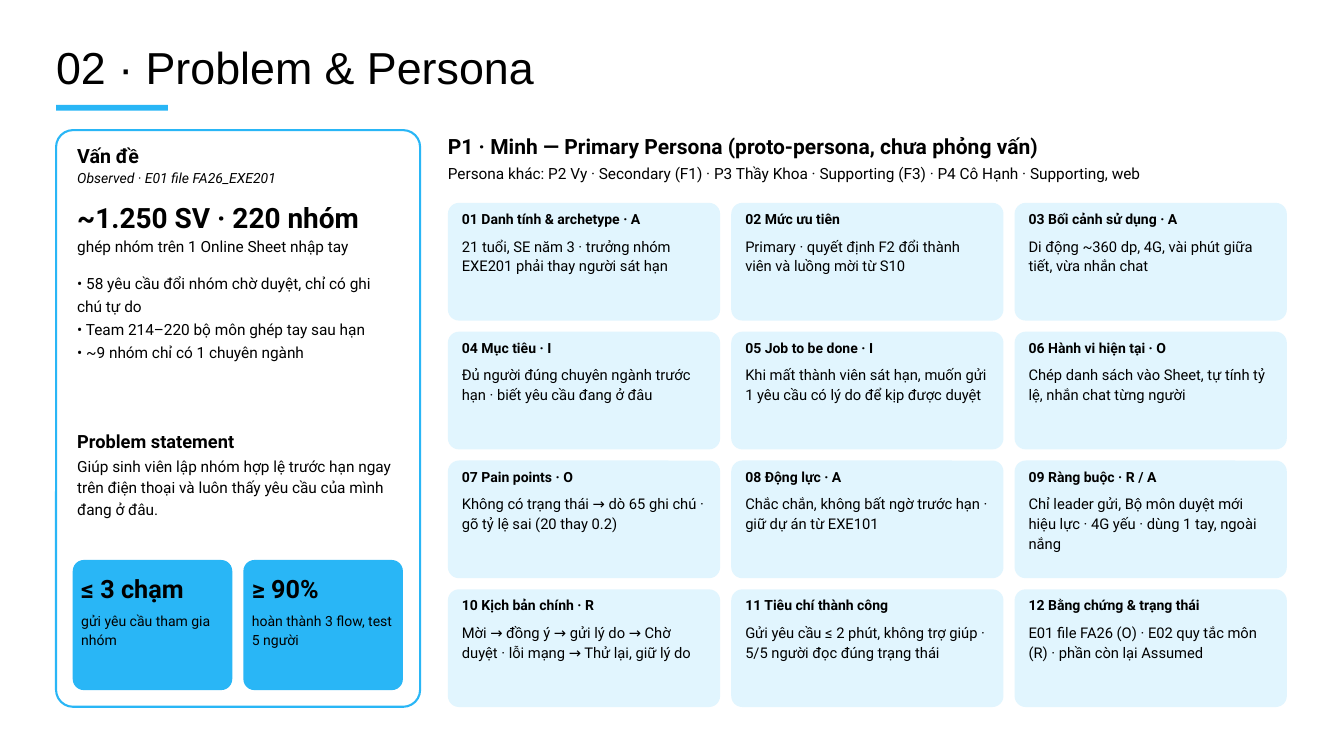
"""Build the problem and persona slide."""
from dataclasses import dataclass

from pptx import Presentation
from pptx.dml.color import RGBColor
from pptx.enum.shapes import MSO_SHAPE
from pptx.enum.text import MSO_AUTO_SIZE
from pptx.util import Cm, Pt

RECT = MSO_SHAPE.RECTANGLE
ROUND = MSO_SHAPE.ROUNDED_RECTANGLE
GROW = MSO_AUTO_SIZE.SHAPE_TO_FIT_TEXT


@dataclass(frozen=True)
class Style:
    size: float
    lead: float = 1.4
    bold: bool = False
    slant: bool = False
    font: str = "Roboto"


@dataclass(frozen=True)
class Theme:
    ink: str = "000000"
    blue: str = "29B6F6"
    pale: str = "E1F5FE"
    white: str = "FFFFFF"
    title: Style = Style(48, lead=1, font="Arial")
    head: Style = Style(22.5, bold=True)
    topic: Style = Style(21, bold=True)
    sub: Style = Style(19.5, bold=True)
    fact: Style = Style(30, bold=True)
    goal: Style = Style(27, bold=True)
    source: Style = Style(15, slant=True)
    text: Style = Style(16.5)
    points: Style = Style(16.5, lead=1.5)
    small: Style = Style(15)
    label: Style = Style(15, bold=True)
    body: Style = Style(15.75, lead=1.35)


@dataclass(frozen=True)
class Box:
    x: float
    y: float
    w: float
    h: float


@dataclass(frozen=True)
class Note:
    box: Box
    text: str
    style: Style


@dataclass(frozen=True)
class Card:
    head: str
    body: str


THEME = Theme()
GAP = 0.42
LEFT, INNER, RIGHT = 2.12, 2.92, 16.93
WIDE, SPAN = 12.17, 31.75

NOTES = (
    Note(Box(LEFT, 1.83, 47.09, 1.8), "02 · Problem & Persona", THEME.title),
    Note(Box(INNER, 5.31, WIDE, 1.02), "Vấn đề", THEME.topic),
    Note(Box(INNER, 6.32, WIDE, 0.76), "Observed · E01 file FA26_EXE201", THEME.source),
    Note(Box(INNER, 7.37, WIDE, 1.47), "~1.250 SV · 220 nhóm", THEME.fact),
    Note(Box(INNER, 8.84, WIDE, 0.84), "ghép nhóm trên 1 Online Sheet nhập tay", THEME.text),
    Note(Box(INNER, 10.19, WIDE, 3.51),
         "• 58 yêu cầu đổi nhóm chờ duyệt, chỉ có ghi chú tự do\n"
         "• Team 214–220 bộ môn ghép tay sau hạn\n"
         "• ~9 nhóm chỉ có 1 chuyên ngành", THEME.points),
    Note(Box(INNER, 16.13, WIDE, 0.97), "Problem statement", THEME.sub),
    Note(Box(INNER, 17.15, WIDE, 2.41),
         "Giúp sinh viên lập nhóm hợp lệ trước hạn ngay trên điện thoại "
         "và luôn thấy yêu cầu của mình đang ở đâu.", THEME.text),
    Note(Box(RIGHT, 4.88, SPAN, 1.12),
         "P1 · Minh — Primary Persona (proto-persona, chưa phỏng vấn)", THEME.head),
    Note(Box(RIGHT, 6.1, SPAN, 0.84),
         "Persona khác: P2 Vy · Secondary (F1) · P3 Thầy Khoa · Supporting (F3) "
         "· P4 Cô Hạnh · Supporting, web", THEME.text),
)

GOALS = (
    Card("≤ 3 chạm", "gửi yêu cầu tham gia nhóm"),
    Card("≥ 90%", "hoàn thành 3 flow, test 5 người"),
)

TRAITS = (
    Card("01 Danh tính & archetype · A",
         "21 tuổi, SE năm 3 · trưởng nhóm EXE201 phải thay người sát hạn"),
    Card("02 Mức ưu tiên", "Primary · quyết định F2 đổi thành viên và luồng mời từ S10"),
    Card("03 Bối cảnh sử dụng · A", "Di động ~360 dp, 4G, vài phút giữa tiết, vừa nhắn chat"),
    Card("04 Mục tiêu · I", "Đủ người đúng chuyên ngành trước hạn · biết yêu cầu đang ở đâu"),
    Card("05 Job to be done · I",
         "Khi mất thành viên sát hạn, muốn gửi 1 yêu cầu có lý do để kịp được duyệt"),
    Card("06 Hành vi hiện tại · O",
         "Chép danh sách vào Sheet, tự tính tỷ lệ, nhắn chat từng người"),
    Card("07 Pain points · O",
         "Không có trạng thái → dò 65 ghi chú · gõ tỷ lệ sai (20 thay 0.2)"),
    Card("08 Động lực · A", "Chắc chắn, không bất ngờ trước hạn · giữ dự án từ EXE101"),
    Card("09 Ràng buộc · R / A",
         "Chỉ leader gửi, Bộ môn duyệt mới hiệu lực · 4G yếu · dùng 1 tay, ngoài nắng"),
    Card("10 Kịch bản chính · R",
         "Mời → đồng ý → gửi lý do → Chờ duyệt · lỗi mạng → Thử lại, giữ lý do"),
    Card("11 Tiêu chí thành công",
         "Gửi yêu cầu ≤ 2 phút, không trợ giúp · 5/5 người đọc đúng trạng thái"),
    Card("12 Bằng chứng & trạng thái",
         "E01 file FA26 (O) · E02 quy tắc môn (R) · phần còn lại Assumed"),
)


def place(box: Box) -> tuple:
    return Cm(box.x), Cm(box.y), Cm(box.w), Cm(box.h)


def draw_shape(slide, box: Box, fill: str, curve: float = 0, edge: str = "") -> None:
    shape = slide.shapes.add_shape(ROUND if curve else RECT, *place(box))
    shape.shadow.inherit = False
    if curve:
        shape.adjustments[0] = curve / min(box.w, box.h)
    shape.fill.solid()
    shape.fill.fore_color.rgb = RGBColor.from_string(fill)
    if edge:
        shape.line.color.rgb = RGBColor.from_string(edge)
        shape.line.width = Pt(2.25)
    else:
        shape.line.fill.background()


def draw_note(slide, note: Note) -> None:
    style = note.style
    frame = slide.shapes.add_textbox(*place(note.box)).text_frame
    frame.margin_left = frame.margin_right = frame.margin_top = frame.margin_bottom = 0
    frame.word_wrap = True
    frame.auto_size = GROW
    frame.text = note.text
    for para in frame.paragraphs:
        para.line_spacing = Pt(style.size * style.lead)
        for run in para.runs:
            font = run.font
            font.name, font.size = style.font, Pt(style.size)
            font.bold, font.italic = style.bold, style.slant
            font.color.rgb = RGBColor.from_string(THEME.ink)


def draw_goal(slide, box: Box, card: Card) -> None:
    draw_shape(slide, box, THEME.blue, GAP)
    x, w = box.x + 0.32, box.w - 0.64
    draw_note(slide, Note(Box(x, box.y + 0.3, w, 1.32), card.head, THEME.goal))
    draw_note(slide, Note(Box(x, box.y + 1.87, w, 1.5), card.body, THEME.small))


def draw_trait(slide, box: Box, card: Card) -> None:
    draw_shape(slide, box, THEME.pale, GAP)
    x, w = box.x + 0.53, 9.25
    draw_note(slide, Note(Box(x, box.y + 0.18, w, 0.76), card.head, THEME.label))
    draw_note(slide, Note(Box(x, box.y + 1.22, w, 1.5), card.body, THEME.body))


def cell(first: Box, index: int, cols: int) -> Box:
    row, col = divmod(index, cols)
    return Box(first.x + col * (first.w + GAP), first.y + row * (first.h + GAP),
               first.w, first.h)


def main() -> None:
    deck = Presentation()
    deck.slide_width, deck.slide_height = Cm(50.8), Cm(28.58)
    slide = deck.slides.add_slide(deck.slide_layouts[6])
    draw_shape(slide, Box(LEFT, 3.97, 4.23, 0.21), THEME.blue)
    draw_shape(slide, Box(LEFT, 4.92, 13.76, 21.8), THEME.white, 0.64, THEME.blue)
    for note in NOTES:
        draw_note(slide, note)
    for index, card in enumerate(GOALS):
        draw_goal(slide, cell(Box(2.75, 21.17, 6.03, 4.92), index, 2), card)
    for index, card in enumerate(TRAITS):
        draw_trait(slide, cell(Box(RIGHT, 7.67, 10.29, 4.45), index, 3), card)
    deck.save("out.pptx")


if __name__ == "__main__":
    main()
